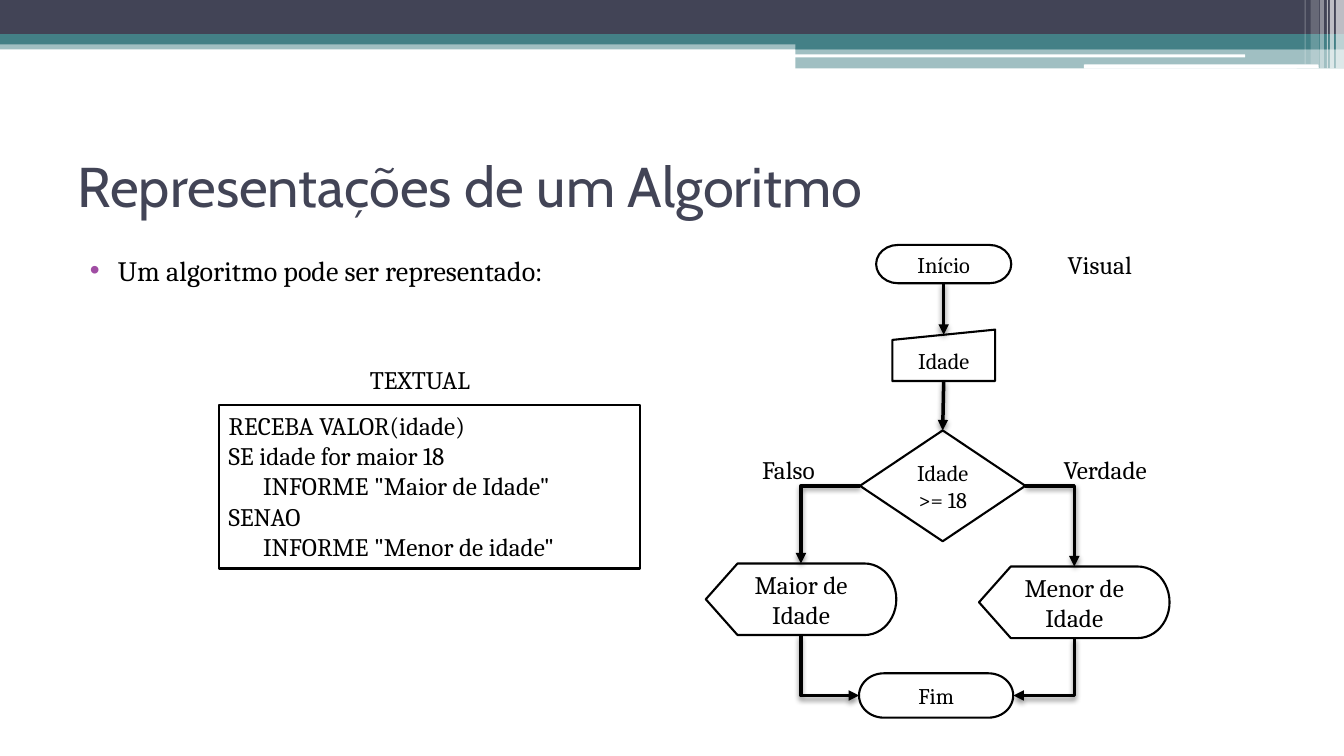
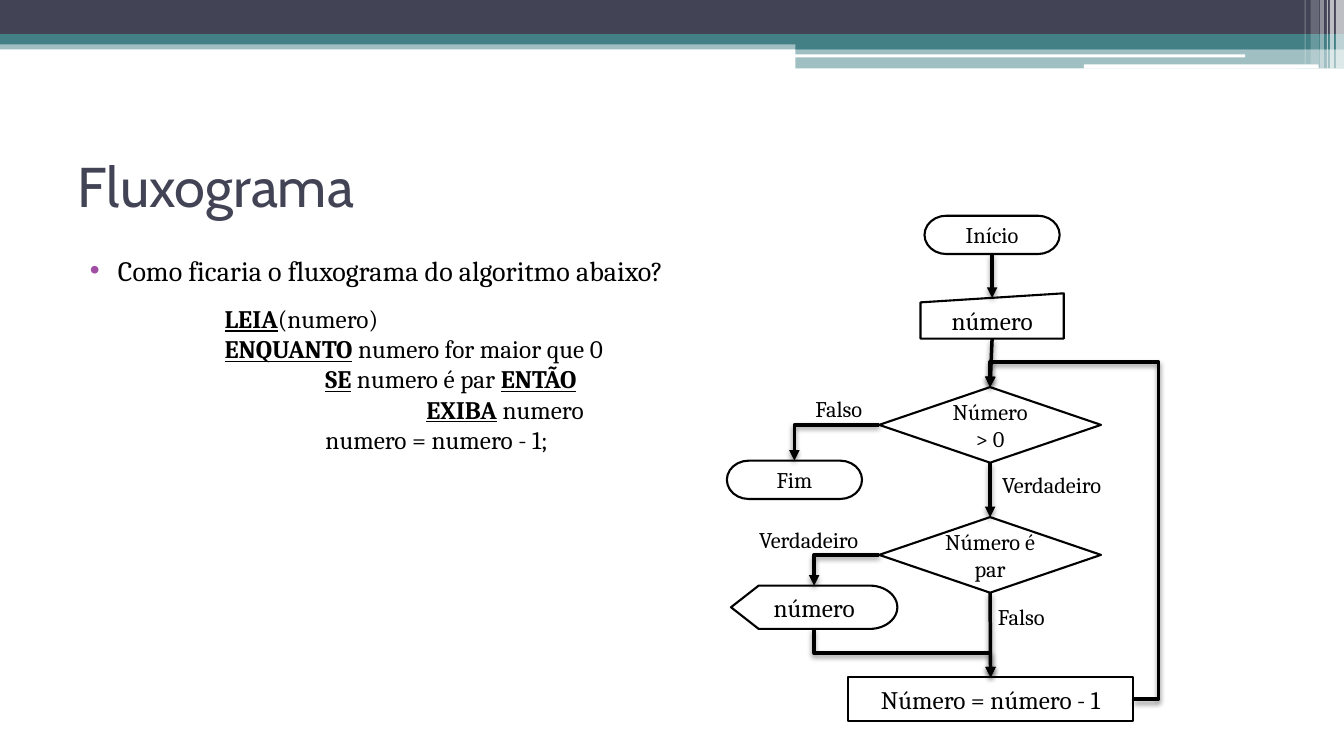
from pptx import Presentation
from pptx import util as u
from pptx.dml.color import RGBColor
from pptx.enum import shapes, text
from pptx.oxml import parse_xml
from pptx.oxml.ns import nsdecls, qn

COLORS = {"navy": "424456", "teal": "438086", "purple": "A04DA3",
          "black": "000000", "white": "FFFFFF"}
KIND = shapes.MSO_SHAPE
TOP, LEFT, BOTTOM, RIGHT = range(4)
SITES = {TOP: (0.5, 0), LEFT: (0, 0.5), BOTTOM: (0.5, 1), RIGHT: (1, 0.5)}


def write(frame, lines, size=18, font="Cambria", color="black", align="LEFT",
          anchor="TOP", wrap=True, fit="NONE", tab=1.0, before=0):
    """Fill a frame; *stars* mark keywords, leading tabs become indents."""
    frame.word_wrap = wrap
    frame.auto_size = text.MSO_AUTO_SIZE[fit]
    frame.vertical_anchor = text.MSO_ANCHOR[anchor]
    for number, line in enumerate(lines):
        paragraph = frame.add_paragraph() if number else frame.paragraphs[0]
        paragraph.alignment = text.PP_ALIGN[align]
        paragraph.space_before = u.Pt(before)
        content = line.lstrip("\t")
        level = len(line) - len(content)
        if level:
            paragraph._p.get_or_add_pPr().set("marL", str(u.Inches(level * tab)))
        for part, piece in enumerate(content.split("*")):
            if not piece:
                continue
            run = paragraph.add_run()
            run.text = piece
            run.font.name = font
            run.font.size = u.Pt(size)
            run.font.color.rgb = RGBColor.from_string(COLORS[color])
            if part % 2:
                run.font.bold = run.font.underline = True


def link(slide, start, start_site, end, end_site, preset=None, adjust=()):
    """Join two shapes with an arrow; a preset name makes it bent."""
    style = shapes.MSO_CONNECTOR.ELBOW if preset else shapes.MSO_CONNECTOR.STRAIGHT
    (x1, y1), (x2, y2) = [
        (int(shape.left + shape.width * SITES[site][0]),
         int(shape.top + shape.height * SITES[site][1]))
        for shape, site in ((start, start_site), (end, end_site))]
    if end.auto_shape_type == KIND.FLOWCHART_MANUAL_INPUT and end_site == TOP:
        y2 += end.height // 10  # middle of the slanted edge
    connector = slide.shapes.add_connector(style, x1, y1, x2, y2)
    connector.begin_connect(start, start_site)
    connector.end_connect(end, end_site)
    connector.end_y = y2
    properties = connector.element.spPr
    if preset:
        geometry = properties.find(qn("a:prstGeom"))
        geometry.set("prst", preset)
        guides = "".join(f'<a:gd name="adj{n}" fmla="val {value}"/>'
                         for n, value in enumerate(adjust, 1))
        for old in list(geometry):
            geometry.remove(old)
        geometry.append(parse_xml(f'<a:avLst {nsdecls("a")}>{guides}</a:avLst>'))
        if start_site == BOTTOM:  # leaves vertically: turn the frame
            width, height = abs(y2 - y1), abs(x2 - x1)
            connector.left = (x1 + x2 - width) // 2
            connector.top = (y1 + y2 - height) // 2
            connector.width, connector.height = width, height
            frame = properties.find(qn("a:xfrm"))
            frame.set("rot", "16200000" if x2 > x1 else "5400000")
            frame.set("flipH", "1" if x2 > x1 else "0")
            frame.set("flipV", "0")
    connector.line.width = u.Pt(2.5)
    connector.line.color.rgb = RGBColor.from_string(COLORS["black"])
    connector.line._get_or_add_ln().append(
        parse_xml(f'<a:tailEnd {nsdecls("a")} type="triangle"/>'))
    properties.append(parse_xml(
        f'<a:effectLst {nsdecls("a")}><a:outerShdw blurRad="50800" dist="25400" '
        f'dir="5400000" rotWithShape="0"><a:srgbClr val="{COLORS["black"]}">'
        '<a:alpha val="45000"/></a:srgbClr></a:outerShdw></a:effectLst>'))


presentation = Presentation()
presentation.slide_width = u.Inches(13.33)
presentation.slide_height = u.Inches(7.5)
layout = presentation.slide_layouts[1]

# Shared title and body positions
PLACES = {0: (0.67, 1.25, 12, 1.17), 1: (0.67, 2.46, 12, 4.73)}
for placeholder in layout.placeholders:
    place = PLACES.get(placeholder.placeholder_format.idx)
    if place:
        (placeholder.left, placeholder.top,
         placeholder.width, placeholder.height) = map(u.Inches, place)

# Slide content: title, bullet, code box, flowchart nodes, labels, links
BENT = "bentConnector2"
SLIDES = [
    {"title": "Representações de um Algoritmo",
     "bullet": "Um algoritmo pode ser representado:",
     "code": ["RECEBA VALOR(idade)", "SE idade for maior 18",
              '\tINFORME "Maior de Idade"', "SENAO",
              '\tINFORME "Menor de idade"'],
     "code_at": (2.17, 4.02, 4.18, 1.62), "boxed": True, "tab": 0.34,
     "nodes": {
         "start": ("TERMINATOR", 8.69, 2.43, 1.34, 0.38, "Início", 16),
         "end": ("TERMINATOR", 8.52, 6.68, 1.53, 0.44, "Fim", 16),
         "input": ("MANUAL_INPUT", 8.85, 3.27, 1.02, 0.51, "Idade", 16),
         "test": ("DECISION", 8.53, 4.27, 1.64, 1.1, "Idade >= 18", 16),
         "older": ("DISPLAY", 7, 5.59, 1.89, 0.71, "Maior de Idade", 18),
         "younger": ("DISPLAY", 9.71, 5.62, 1.89, 0.71, "Menor de Idade", 18)},
     "labels": [("TEXTUAL", 3.57, 3.57, 1.37, 18), ("Visual", 10.49, 2.42, 0.9, 18),
                ("Verdade", 10.45, 4.46, 1.14, 18), ("Falso", 7.46, 4.46, 0.8, 18)],
     "links": [("start", BOTTOM, "input", TOP), ("input", BOTTOM, "test", TOP),
               ("test", LEFT, "older", TOP, BENT),
               ("test", RIGHT, "younger", TOP, BENT),
               ("older", BOTTOM, "end", LEFT, BENT),
               ("younger", BOTTOM, "end", RIGHT, BENT)]},
    {"title": "Fluxograma",
     "bullet": "Como ficaria o fluxograma do algoritmo abaixo?",
     "code": ["*LEIA*(numero)", "*ENQUANTO* numero for maior que 0",
              "\t*SE* numero é par *ENTÃO*", "\t\t*EXIBA* numero",
              "\tnumero = numero - 1;"],
     "code_at": (2.13, 2.96, 5, 1.62), "boxed": False, "tab": 1.0,
     "nodes": {
         "start": ("TERMINATOR", 9.17, 2.14, 1.34, 0.38, "Início", 16),
         "end": ("TERMINATOR", 7.21, 4.57, 1.34, 0.38, "Fim", 16),
         "input": ("MANUAL_INPUT", 9.13, 2.91, 1.42, 0.45, "número", 18),
         "positive": ("DECISION", 8.72, 3.84, 2.2, 0.75, "Número > 0", 16),
         "even": ("DECISION", 8.72, 5.13, 2.2, 0.75, "Número é par", 16),
         "decrease": ("PROCESS", 8.41, 6.72, 2.83, 0.43, "Número = número - 1", 18),
         "show": ("DISPLAY", 7.25, 5.81, 1.65, 0.43, "número", 18)},
     "labels": [("Falso", 7.99, 3.87, 0.73, 16), ("Falso", 9.8, 5.93, 0.73, 16),
                ("Verdadeiro", 9.84, 4.63, 1.31, 16),
                ("Verdadeiro", 7.43, 5.17, 1.31, 16)],
     "links": [("start", BOTTOM, "input", TOP), ("input", BOTTOM, "positive", TOP),
               ("positive", LEFT, "end", TOP, BENT),
               ("positive", BOTTOM, "even", TOP),
               ("even", BOTTOM, "decrease", TOP),
               ("even", LEFT, "show", TOP, BENT),
               ("show", BOTTOM, "decrease", TOP, "bentConnector3"),
               ("decrease", RIGHT, "positive", TOP, "bentConnector4",
                (-17600, 108100))]},
]

for content in SLIDES:
    slide = presentation.slides.add_slide(layout)

    # Title and bullet
    write(slide.shapes.title.text_frame, [content["title"]], size=40,
          font="Cabin", color="navy", anchor="MIDDLE")
    body = slide.placeholders[1].text_frame
    write(body, [content["bullet"]], size=20, align="JUSTIFY", before=3)
    bullet = body.paragraphs[0]._p.get_or_add_pPr()
    bullet.set("marL", str(u.Inches(0.4)))
    bullet.set("indent", str(u.Inches(-0.28)))
    for xml in (f'<a:buClr {nsdecls("a")}><a:srgbClr val="{COLORS["purple"]}"/></a:buClr>',
                f'<a:buChar {nsdecls("a")} char="•"/>'):
        bullet.append(parse_xml(xml))

    # Code box
    code = slide.shapes.add_textbox(*map(u.Inches, content["code_at"]))
    write(code.text_frame, content["code"], tab=content["tab"], fit="SHAPE_TO_FIT_TEXT")
    if content["boxed"]:
        code.line.width = u.Pt(1.5)
        code.line.color.rgb = RGBColor.from_string(COLORS["black"])

    # Flowchart nodes
    nodes = {}
    for name, (kind, x, y, width, height, caption, size) in content["nodes"].items():
        node = slide.shapes.add_shape(KIND["FLOWCHART_" + kind],
                                      *map(u.Inches, (x, y, width, height)))
        node.shadow.inherit = False
        node.fill.solid()
        node.fill.fore_color.rgb = RGBColor.from_string(COLORS["white"])
        node.line.width = u.Pt(1.5)
        node.line.color.rgb = RGBColor.from_string(COLORS["black"])
        write(node.text_frame, [caption], size=size, align="CENTER", anchor="MIDDLE")
        nodes[name] = node

    # Arrows
    for start, start_site, end, end_site, *bend in content["links"]:
        link(slide, nodes[start], start_site, nodes[end], end_site, *bend)

    # Labels
    for caption, x, y, width, size in content["labels"]:
        label = slide.shapes.add_textbox(*map(u.Inches, (x, y, width, 0.4 if size == 18 else 0.37)))
        write(label.text_frame, [caption], size=size, wrap=False, fit="SHAPE_TO_FIT_TEXT")

# Header bands: left, top, width, height, colour, opacity; moved into the layout
BANDS = [
    (0, 0.4, 13.33, 0.09, "teal", 50), (0, 0, 13.33, 0.34, "navy", 100),
    (0, 0.34, 13.33, 0.1, "teal", 100), (7.89, 0.39, 5.44, 0.1, "teal", 100),
    (7.89, 0.48, 5.44, 0.2, "teal", 50), (7.88, 0.54, 4.47, 0.03, "white", 100),
    (10.75, 0.64, 2.33, 0.04, "white", 100), (13.25, 0, 0.08, 0.68, "white", 65),
    (13.19, 0, 0.04, 0.68, "white", 65), (13.16, 0, 0.01, 0.68, "white", 60),
    (13.09, 0, 0.04, 0.68, "white", 40), (13, 0, 0.08, 0.64, "white", 20),
    (12.94, 0, 0.01, 0.64, "white", 30),
]
layout_tree = layout.shapes.element
for position, (x, y, width, height, color, opacity) in enumerate(BANDS, 2):
    rounded = height < 0.05
    band = slide.shapes.add_shape(KIND.ROUNDED_RECTANGLE if rounded else KIND.RECTANGLE,
                                  *map(u.Inches, (x, y, width, height)))
    band.shadow.inherit = False
    band.line.fill.background()
    band.fill.solid()
    band.fill.fore_color.rgb = RGBColor.from_string(COLORS[color])
    if opacity < 100:
        band.element.spPr.find(".//" + qn("a:srgbClr")).append(
            parse_xml(f'<a:alpha {nsdecls("a")} val="{opacity * 1000}"/>'))
    layout_tree.insert(position, band.element)

presentation.save("out.pptx")
